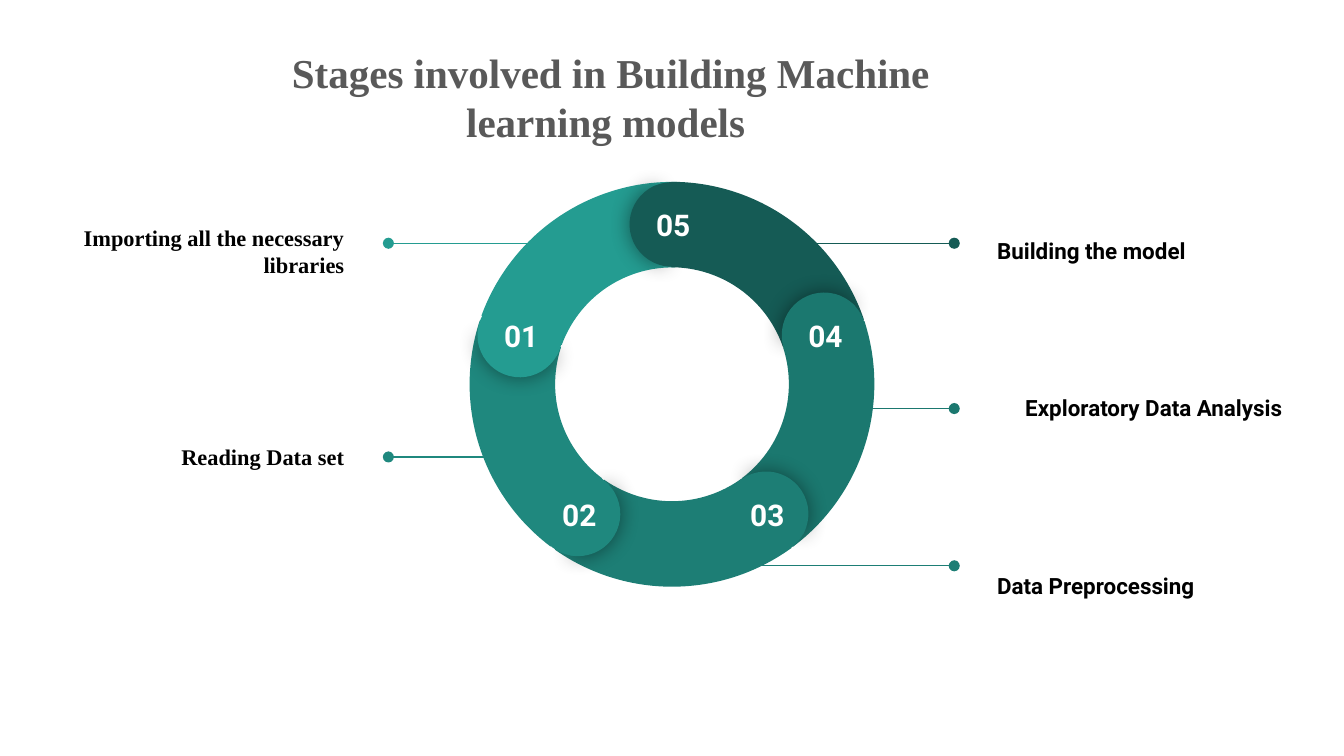
"""Build the slide on the five stages of building a machine learning model."""
import math

from lxml import etree
from pptx import Presentation
from pptx.dml.color import RGBColor
from pptx.enum import shapes, text
from pptx.oxml import ns
from pptx.util import Inches, Pt

TITLE = "Stages involved in Building Machine learning models "
SERIF, SANS = "Times New Roman", "Roboto"
LEFT, RIGHT, CENTER = text.PP_ALIGN.LEFT, text.PP_ALIGN.RIGHT, text.PP_ALIGN.CENTER

STAGES = [
    dict(label="Importing all the necessary libraries", color="249C91", font=SERIF, align=RIGHT,
         box=(0.34, 1.36, 2.32, 1.01), leader=(4.23, 2.89, 1.81), arc=350, cap=284.1),
    dict(label="Reading Data set", color="1F887E", font=SERIF, align=RIGHT,
         box=(0.34, 2.89, 2.32, 1.01), leader=(3.91, 2.89, 3.4), arc=277, cap=211.1),
    dict(label="Data Preprocessing", color="1D7E75", font=SANS, align=LEFT,
         box=(7.32, 3.71, 2.32, 1.29), leader=(5.09, 7.1, 4.21), arc=204, cap=139.1),
    dict(label="Exploratory Data Analysis", color="1B786F", font=SANS, align=LEFT,
         box=(7.53, 2.53, 2.32, 1.01), leader=(6.14, 7.1, 3.04), arc=132, cap=67.1),
    dict(label="Building the model", color="155B55", font=SANS, align=LEFT,
         box=(7.32, 1.36, 2.32, 1.01), leader=(5.7, 7.1, 1.81), arc=60, cap=357.1),
]

RING_X, RING_Y, RING_SIZE = 5, 2.86, 3.03
CAP_SIZE, CAP_ORBIT, ARC_ORBIT = 0.63, 1.19, -0.01
STEP = 360 / len(STAGES)
ARC_ADJ = (126.03, 168.68, 0.21)
CAP_FRONT_ADJ, CAP_BACK_ADJ = (61.9, 149.96), (40.28, 171.84)
CAP_BACK_TURN = 179.3


def rgb(hex_color):
    return RGBColor.from_string(hex_color)


def add_text(parent, words, box, font, size, color, align, anchor=text.MSO_ANCHOR.TOP):
    frame = parent.add_textbox(*map(Inches, box)).text_frame
    frame.word_wrap = True
    frame.vertical_anchor = anchor
    frame.margin_left = frame.margin_right = Inches(0.1)
    frame.margin_top = frame.margin_bottom = Inches(0.1)
    frame.text = words
    paragraph = frame.paragraphs[0]
    paragraph.alignment = align
    run_font = paragraph.runs[0].font
    run_font.name, run_font.size, run_font.bold = font, Pt(size), True
    run_font.color.rgb = rgb(color)


def add_leader(parent, start, end, y, color):
    leader = parent.add_connector(
        shapes.MSO_CONNECTOR.STRAIGHT, Inches(start), Inches(y), Inches(end), Inches(y))
    leader.line.color.rgb = rgb(color)
    leader.line.width = Pt(0.75)
    etree.SubElement(leader.line._get_or_add_ln(), ns.qn("a:tailEnd"), type="oval")
    etree.SubElement(leader._element.spPr, ns.qn("a:effectLst"))


def add_piece(parent, kind, center, size, turn, adjustments, color):
    x, y = center
    piece = parent.add_shape(
        kind, Inches(x - size / 2), Inches(y - size / 2), Inches(size), Inches(size))
    for index, value in enumerate(adjustments):
        piece.adjustments[index] = value
    piece.rotation = turn % 360
    piece.shadow.inherit = False
    piece.fill.solid()
    piece.fill.fore_color.rgb = rgb(color)
    piece.line.fill.background()
    return piece


def add_glow_shadow(piece):
    effects = piece._element.spPr.find(ns.qn("a:effectLst"))
    shadow = etree.SubElement(effects, ns.qn("a:outerShdw"), blurRad=str(Pt(11.2)),
                              dist="0", dir="0", algn="ctr", rotWithShape="0")
    black = etree.SubElement(shadow, ns.qn("a:srgbClr"), val="000000")
    etree.SubElement(black, ns.qn("a:alpha"), val="43000")


def ring_point(steps, orbit):
    angle = math.radians(-90 - STEP * steps)
    return RING_X + orbit * math.cos(angle), RING_Y + orbit * math.sin(angle)


def main():
    deck = Presentation()
    deck.slide_width, deck.slide_height = Inches(10), Inches(10 * 9 / 16)
    slide = deck.slides.add_slide(deck.slide_layouts[6])

    for stage in STAGES:
        callout = slide.shapes.add_group_shape().shapes
        add_leader(callout, *stage["leader"], stage["color"])
        add_text(callout, stage["label"], stage["box"], stage["font"], 12, "000000",
                 stage["align"], text.MSO_ANCHOR.MIDDLE)

    ring = slide.shapes.add_group_shape().shapes
    arc, pie = shapes.MSO_SHAPE.BLOCK_ARC, shapes.MSO_SHAPE.PIE
    for number, stage in enumerate(STAGES, 1):
        add_piece(ring, arc, ring_point(number - 0.5, ARC_ORBIT), RING_SIZE, stage["arc"],
                  ARC_ADJ, stage["color"])
    for number, stage in enumerate(STAGES, 1):
        x, y = center = ring_point(number, CAP_ORBIT)
        turn, color = stage["cap"], stage["color"]
        add_glow_shadow(add_piece(ring, pie, center, CAP_SIZE, turn, CAP_FRONT_ADJ, color))
        add_piece(ring, pie, center, CAP_SIZE, turn + CAP_BACK_TURN, CAP_BACK_ADJ, color)
        add_text(ring, f"{number:02}", (x - 0.27, y - 0.23, 0.56, 0.29), SANS, 16, "FFFFFF", CENTER)

    add_text(slide.shapes, TITLE, (1.56, 0.25, 5.97, 0.47), SERIF, 22, "595959", CENTER)
    deck.save("out.pptx")


if __name__ == "__main__":
    main()
